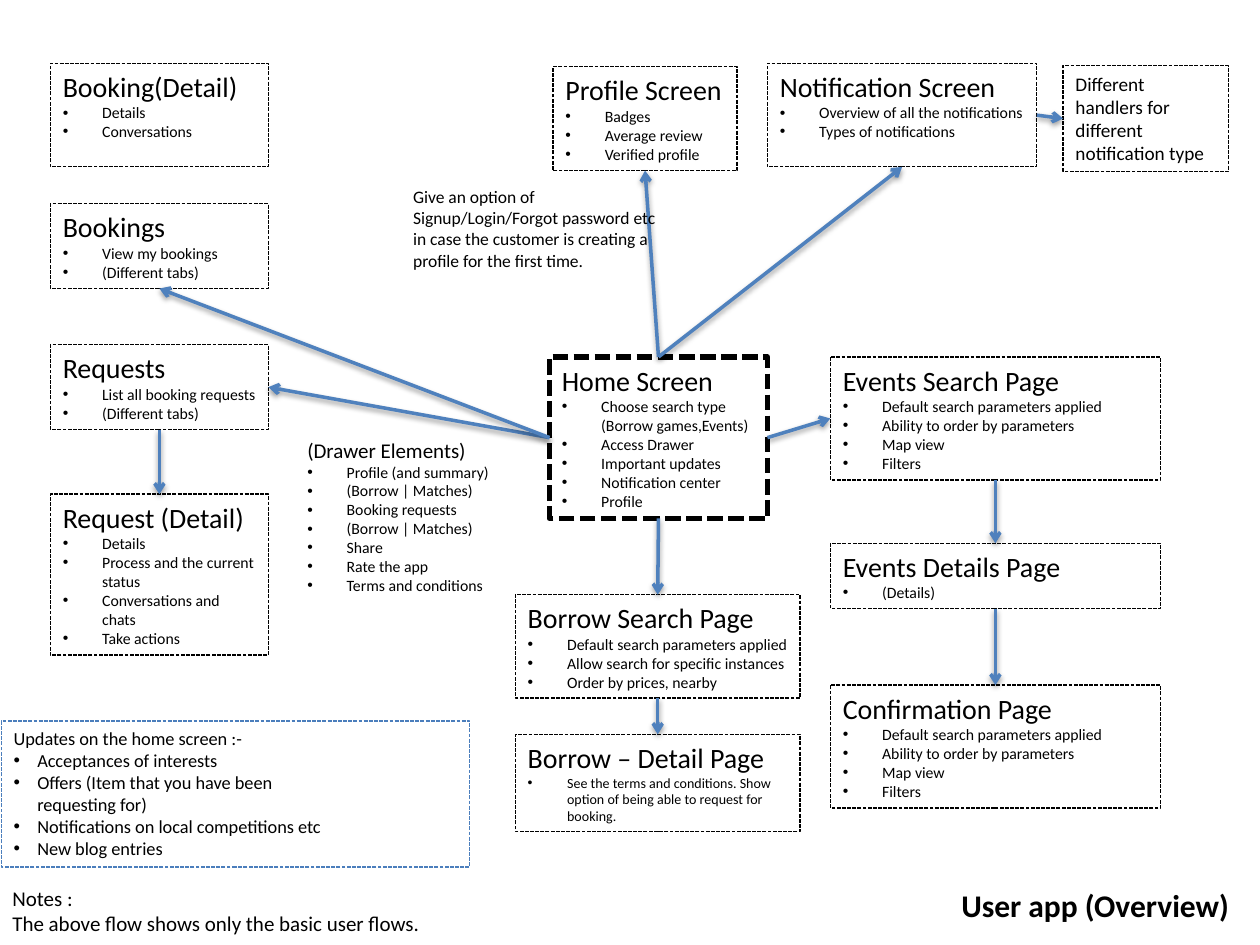
from dataclasses import dataclass
from enum import IntEnum

from lxml.etree import SubElement
from pptx import Presentation
from pptx.dml.color import RGBColor
from pptx.enum.dml import MSO_LINE_DASH_STYLE as Dash
from pptx.enum.shapes import MSO_CONNECTOR_TYPE as Link, MSO_SHAPE as Form
from pptx.enum.text import MSO_ANCHOR as Anchor, PP_ALIGN as Align
from pptx.oxml.ns import qn
from pptx.shapes.autoshape import Shape
from pptx.shapes.shapetree import SlideShapes
from pptx.util import Pt

BLACK = RGBColor(0x00, 0x00, 0x00)
BLUE = RGBColor(0x4F, 0x81, 0xBD)
EDGE = RGBColor(0x4B, 0x7E, 0xBC)
FONT = "Calibri"

LEFT, LEFT_W = 28.8, 124.56
MID, MID_W = 294.5, 162.7
RIGHT, RIGHT_W = 474.5, 188.6


class Side(IntEnum):
    TOP = 0
    LEFT = 1
    BOTTOM = 2
    RIGHT = 3


@dataclass(frozen=True)
class Box:
    x: float
    y: float
    w: float
    h: float
    head: str = ""
    items: tuple[str, ...] = ()
    size: float = 16
    small: float = 9
    dent: float = 22.5
    wrap: bool = True
    bold: bool = False
    edge: RGBColor = BLACK
    width: float = 0.75


@dataclass(frozen=True)
class Arrow:
    start: str
    out: Side
    end: str
    into: Side


SEARCH = ("Default search parameters applied", "Ability to order by parameters",
          "Map view", "Filters")

BOXES = {
    "home": Box(314, 204, LEFT_W, 92.2, "Home Screen",
                ("Choose search type (Borrow games,Events)", "Access Drawer",
                 "Important updates", "Notification center", "Profile"), width=3),
    "profile": Box(316, 38.2, 105.2, 59.3, "Profile Screen",
                   ("Badges", "Average review", "Verified profile"), wrap=False),
    "notice": Box(438.5, 36.2, 154, 59.2, "Notification Screen",
                  ("Overview of all the notifications", "Types of notifications"),
                  wrap=False),
    "handler": Box(607.5, 37.5, 94.5, 60.5,
                   "Different handlers for different notification type", size=11),
    "events": Box(RIGHT, 204, RIGHT_W, 70.3, "Events Search Page", SEARCH),
    "details": Box(RIGHT, 310.4, RIGHT_W, 37.4, "Events Details Page", ("(Details)",)),
    "confirm": Box(RIGHT, 391.5, RIGHT_W, 70.3, "Confirmation Page", SEARCH),
    "borrow": Box(MID, 339.8, MID_W, 59.2, "Borrow Search Page",
                  ("Default search parameters applied",
                   "Allow search for specific instances", "Order by prices, nearby")),
    "item": Box(MID, 419.6, MID_W, 55.6, "Borrow – Detail Page",
                ("See the terms and conditions. Show option of being able to "
                 "request for booking.",), small=8),
    "booking": Box(LEFT, 36.2, LEFT_W, 59.2, "Booking(Detail)",
                   ("Details", "Conversations")),
    "bookings": Box(LEFT, 116.4, LEFT_W, 48.5, "Bookings",
                    ("View my bookings", "(Different tabs)")),
    "requests": Box(LEFT, 197, LEFT_W, 48.5, "Requests",
                    ("List all booking requests", "(Different tabs)")),
    "request": Box(LEFT, 282.4, LEFT_W, 92, "Request (Detail)",
                   ("Details", "Process and the current status",
                    "Conversations and chats", "Take actions")),
    "updates": Box(0.7, 412, 267.8, 83.5, edge=EDGE),
}

ARROWS = (
    Arrow("home", Side.TOP, "profile", Side.BOTTOM),
    Arrow("home", Side.TOP, "notice", Side.BOTTOM),
    Arrow("notice", Side.RIGHT, "handler", Side.LEFT),
    Arrow("home", Side.BOTTOM, "borrow", Side.TOP),
    Arrow("borrow", Side.BOTTOM, "item", Side.TOP),
    Arrow("home", Side.RIGHT, "events", Side.LEFT),
    Arrow("events", Side.BOTTOM, "details", Side.TOP),
    Arrow("details", Side.BOTTOM, "confirm", Side.TOP),
    Arrow("home", Side.LEFT, "requests", Side.RIGHT),
    Arrow("home", Side.LEFT, "bookings", Side.BOTTOM),
    Arrow("requests", Side.BOTTOM, "request", Side.TOP),
)

LABELS = (
    Box(168.5, 246.2, 118.8, 108.7, "(Drawer Elements)",
        ("Profile (and summary)", "(Borrow | Matches)", "Booking requests",
         "(Borrow | Matches)", "Share", "Rate the app", "Terms and conditions"),
        size=12, wrap=False),
    Box(0.7, 412, 202.3, 83.5, "Updates on the home screen :-",
        ("Acceptances of interests", "Offers (Item that you have been requesting for)",
         "Notifications on local competitions etc", "New blog entries"),
        size=10.5, small=10.5, dent=13.5),
    Box(229, 103, 153.4, 55.4,
        "Give an option of Signup/Login/Forgot password etc in case the customer "
        "is creating a profile for the first time.", size=10),
    Box(0, 502.6, 249.8, 36,
        "Notes :\nThe above flow shows only the basic user flows.",
        size=12, wrap=False),
    Box(542.2, 502.6, 169.2, 28.8, "User app (Overview)",
        size=18, wrap=False, bold=True),
)


def write(shape: Shape, box: Box) -> None:
    frame = shape.text_frame
    frame.word_wrap = box.wrap
    frame.vertical_anchor = Anchor.TOP
    frame.text = "\n".join((box.head, *box.items))
    first = len(frame.paragraphs) - len(box.items)
    for i, para in enumerate(frame.paragraphs):
        para.alignment = Align.LEFT
        if i >= first:
            props = para._p.get_or_add_pPr()
            props.set("marL", str(Pt(box.dent)))
            props.set("indent", str(-Pt(box.dent)))
            SubElement(props, qn("a:buFont"), typeface="Arial")
            SubElement(props, qn("a:buChar"), char="•")
        for run in para.runs:
            font = run.font
            font.name = FONT
            font.size = Pt(box.small if i >= first else box.size)
            font.bold = box.bold
            font.color.rgb = BLACK


def draw_box(shapes: SlideShapes, box: Box) -> Shape:
    shape = shapes.add_shape(Form.RECTANGLE, Pt(box.x), Pt(box.y), Pt(box.w), Pt(box.h))
    shape.shadow.inherit = False
    shape.fill.background()
    shape.line.color.rgb = box.edge
    shape.line.width = Pt(box.width)
    shape.line.dash_style = Dash.SQUARE_DOT
    if box.head:
        write(shape, box)
    return shape


def draw_label(shapes: SlideShapes, box: Box) -> None:
    write(shapes.add_textbox(Pt(box.x), Pt(box.y), Pt(box.w), Pt(box.h)), box)


def draw_arrow(shapes: SlideShapes, arrow: Arrow, drawn: dict[str, Shape]) -> None:
    link = shapes.add_connector(Link.STRAIGHT, Pt(0), Pt(0), Pt(0), Pt(0))
    link.begin_connect(drawn[arrow.start], arrow.out)
    link.end_connect(drawn[arrow.end], arrow.into)
    link.line.color.rgb = BLUE
    link.line.width = Pt(2)
    SubElement(link.line._get_or_add_ln(), qn("a:tailEnd"), type="arrow")


def main() -> None:
    deck = Presentation()
    deck.slide_width, deck.slide_height = Pt(720), Pt(540)
    shapes = deck.slides.add_slide(deck.slide_layouts[6]).shapes
    drawn = {name: draw_box(shapes, box) for name, box in BOXES.items()}
    for arrow in ARROWS:
        draw_arrow(shapes, arrow, drawn)
    for label in LABELS:
        draw_label(shapes, label)
    deck.save("out.pptx")


if __name__ == "__main__":
    main()
